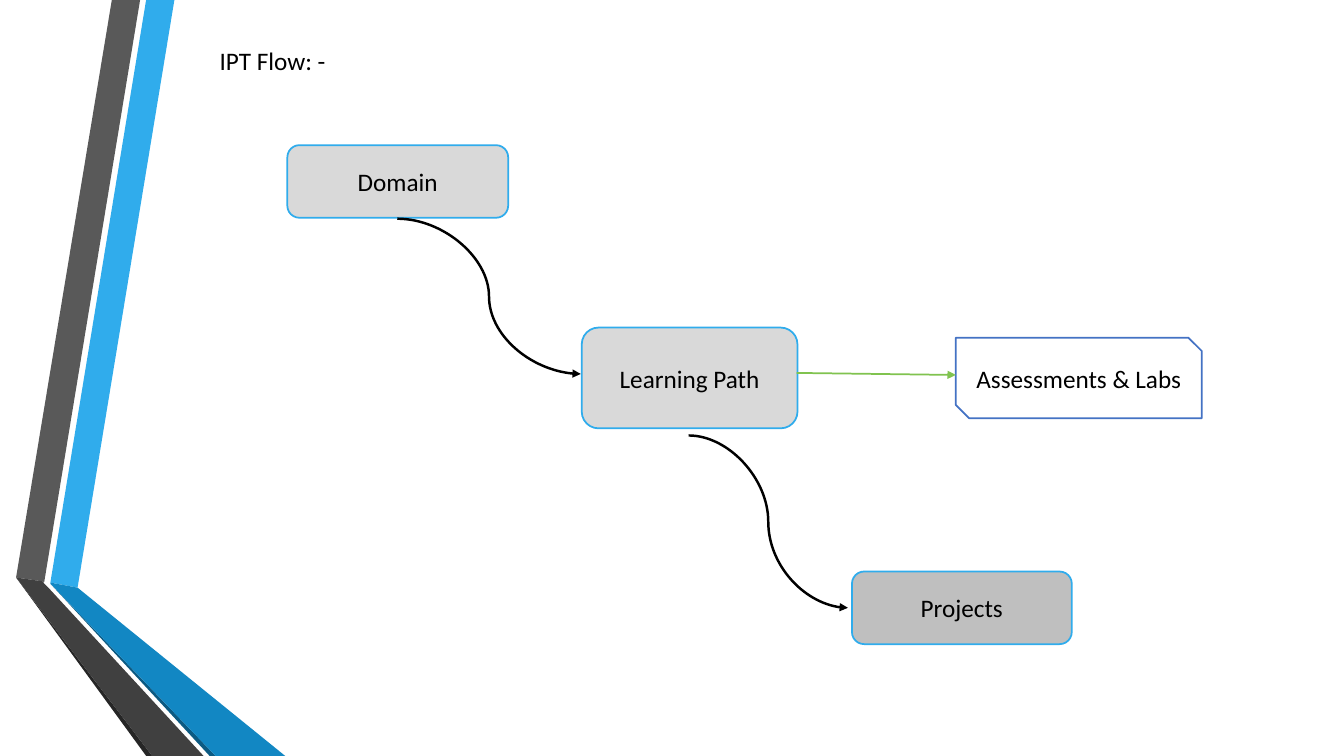
from lxml import etree
from pptx import Presentation
from pptx.dml.color import RGBColor
from pptx.enum import shapes, text
from pptx.oxml import ns
from pptx.util import Inches, Pt

COLORS = {
    "black": "000000", "light_gray": "D9D9D9", "mid_gray": "BFBFBF",
    "sky": "30ACEC", "blue": "1287C3", "deep_blue": "0C5A82",
    "gray": "595959", "dark_gray": "404040", "charcoal": "262626",
    "outline": "4472C4", "green": "80C34F",
}
FONT = "Calibri"

# Ribbon facets, back to front: colour and corners in inches from the box corner
RIBBON_FACETS = [
    ("sky", [(0.5, 5.78), (0.77, 5.83), (1.73, 0), (1.45, 0)]),
    ("gray", [(1.39, 0), (1.11, 0), (0.16, 5.73), (0.44, 5.77)]),
    ("charcoal", [(0.16, 5.73), (1.45, 7.5), (1.51, 7.5)]),
    ("deep_blue", [(0.5, 5.79), (2.08, 7.5), (2.14, 7.5)]),
    ("blue", [(0.5, 5.79), (2.14, 7.5), (2.83, 7.5), (0.77, 5.83), (0.5, 5.78)]),
    ("dark_gray", [(2.02, 7.5), (0.48, 5.83), (0.43, 5.78), (0.44, 5.77),
                   (0.16, 5.73), (1.51, 7.5)]),
]

# Flow steps: label, outline shape, fill, line, box relative to the flow area
ROUNDED = shapes.MSO_SHAPE.ROUNDED_RECTANGLE
SNIPPED = shapes.MSO_SHAPE.SNIP_2_DIAG_RECTANGLE
FLOW_STEPS = [
    ("Domain", ROUNDED, "light_gray", "sky", (0, 0, 2.19, 0.72)),
    ("Learning Path", ROUNDED, "light_gray", "sky", (2.92, 1.81, 2.14, 1)),
    ("Projects", ROUNDED, "mid_gray", "sky", (5.6, 4.23, 2.18, 0.72)),
    ("Assessments & Labs", SNIPPED, None, "outline", (6.63, 1.91, 2.44, 0.8)),
]

# Flow arrows: kind, colour, width, start and end relative to the flow area
STRAIGHT, CURVE = shapes.MSO_CONNECTOR.STRAIGHT, shapes.MSO_CONNECTOR.CURVE
FLOW_ARROWS = [
    (STRAIGHT, "green", 1.25, (5.05, 2.26), (6.63, 2.28)),
    (CURVE, "black", 1.75, (1.09, 0.73), (2.91, 2.27)),
    (CURVE, "black", 1.75, (3.98, 2.88), (5.56, 4.59)),
]


def rgb(name):
    return RGBColor.from_string(COLORS[name])


def write(paragraph, words):
    run = paragraph.add_run()
    run.text = words
    run.font.name = FONT
    run.font.size = Pt(18)
    run.font.color.rgb = rgb("black")


def add_ribbon(slide, left, top):
    """Folded ribbon along the left edge."""
    for color, corners in RIBBON_FACETS:
        points = [(Inches(left + x), Inches(top + y)) for x, y in corners]
        builder = slide.shapes.build_freeform(*points[0])
        builder.add_line_segments(points[1:], close=True)
        facet = builder.convert_to_shape()
        facet.shadow.inherit = False
        facet.fill.solid()
        facet.fill.fore_color.rgb = rgb(color)
        facet.line.fill.background()


def add_step(slide, label, outline, fill, line, left, top, width, height):
    shape = slide.shapes.add_shape(
        outline, Inches(left), Inches(top), Inches(width), Inches(height))
    shape.shadow.inherit = False
    if fill:
        shape.fill.solid()
        shape.fill.fore_color.rgb = rgb(fill)
    else:
        shape.fill.background()
    shape.line.color.rgb = rgb(line)
    shape.line.width = Pt(1.25)
    frame = shape.text_frame
    frame.word_wrap = True
    frame.vertical_anchor = text.MSO_ANCHOR.MIDDLE
    paragraph = frame.paragraphs[0]
    paragraph.alignment = text.PP_ALIGN.CENTER
    write(paragraph, label)


def add_arrow(slide, kind, color, weight, start, end):
    arrow = slide.shapes.add_connector(
        kind, *(Inches(value) for value in (*start, *end)))
    arrow.line.color.rgb = rgb(color)
    arrow.line.width = Pt(weight)
    etree.SubElement(arrow.line._get_or_add_ln(), ns.qn("a:tailEnd"), type="triangle")
    etree.SubElement(arrow._element.spPr, ns.qn("a:effectLst"))


def add_flow(slide, left, top):
    """Flow diagram: steps first, then the arrows between them."""
    for label, outline, fill, line, (x, y, width, height) in FLOW_STEPS:
        add_step(slide, label, outline, fill, line, left + x, top + y, width, height)
    for kind, color, weight, start, end in FLOW_ARROWS:
        add_arrow(slide, kind, color, weight,
                  (left + start[0], top + start[1]), (left + end[0], top + end[1]))


def add_heading(slide, left, top, width, height):
    box = slide.shapes.add_textbox(
        Inches(left), Inches(top), Inches(width), Inches(height))
    box.text_frame.word_wrap = True
    write(box.text_frame.paragraphs[0], "IPT Flow: -")


def main():
    presentation = Presentation()
    presentation.slide_width = Inches(13.33)
    presentation.slide_height = Inches(7.5)
    slide = presentation.slides.add_slide(presentation.slide_layouts[6])
    add_ribbon(slide, 0, 0)
    add_flow(slide, 2.85, 1.44)
    add_heading(slide, 2.08, 0.4, 3, 0.4)
    presentation.save("out.pptx")


if __name__ == "__main__":
    main()
